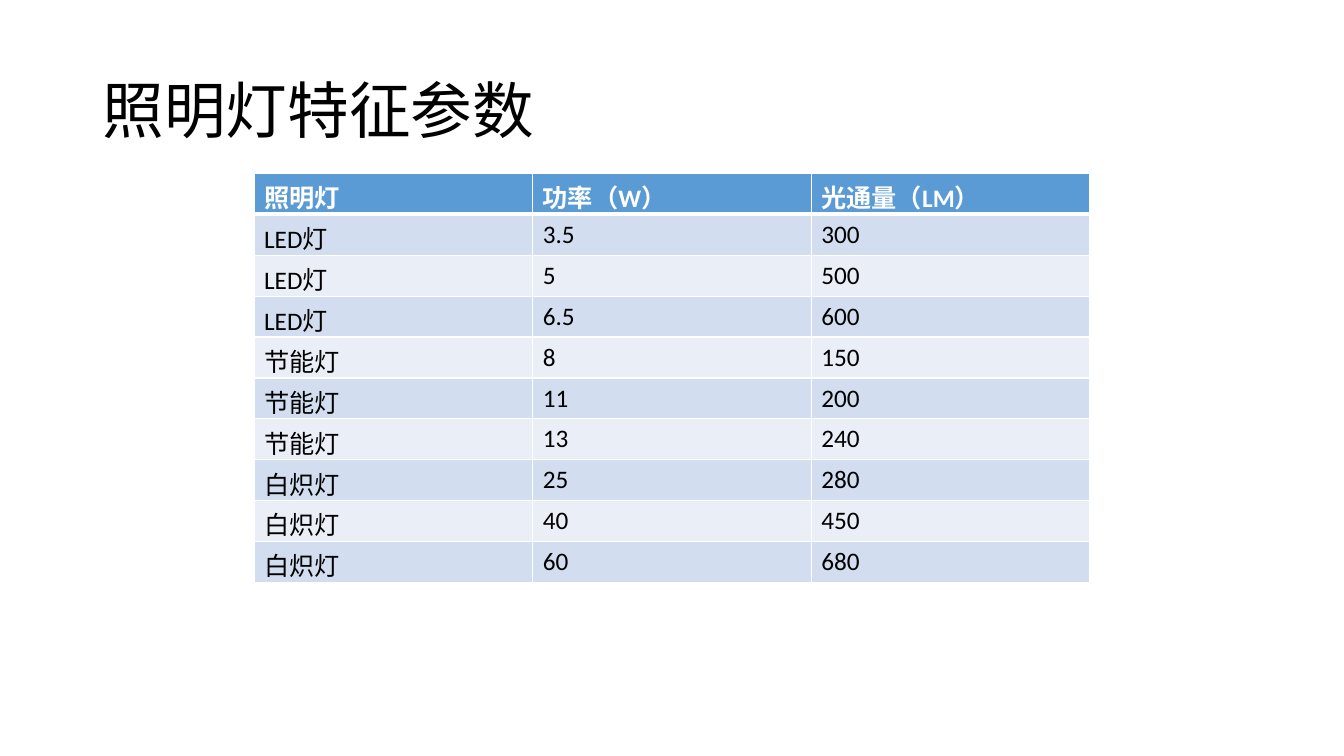
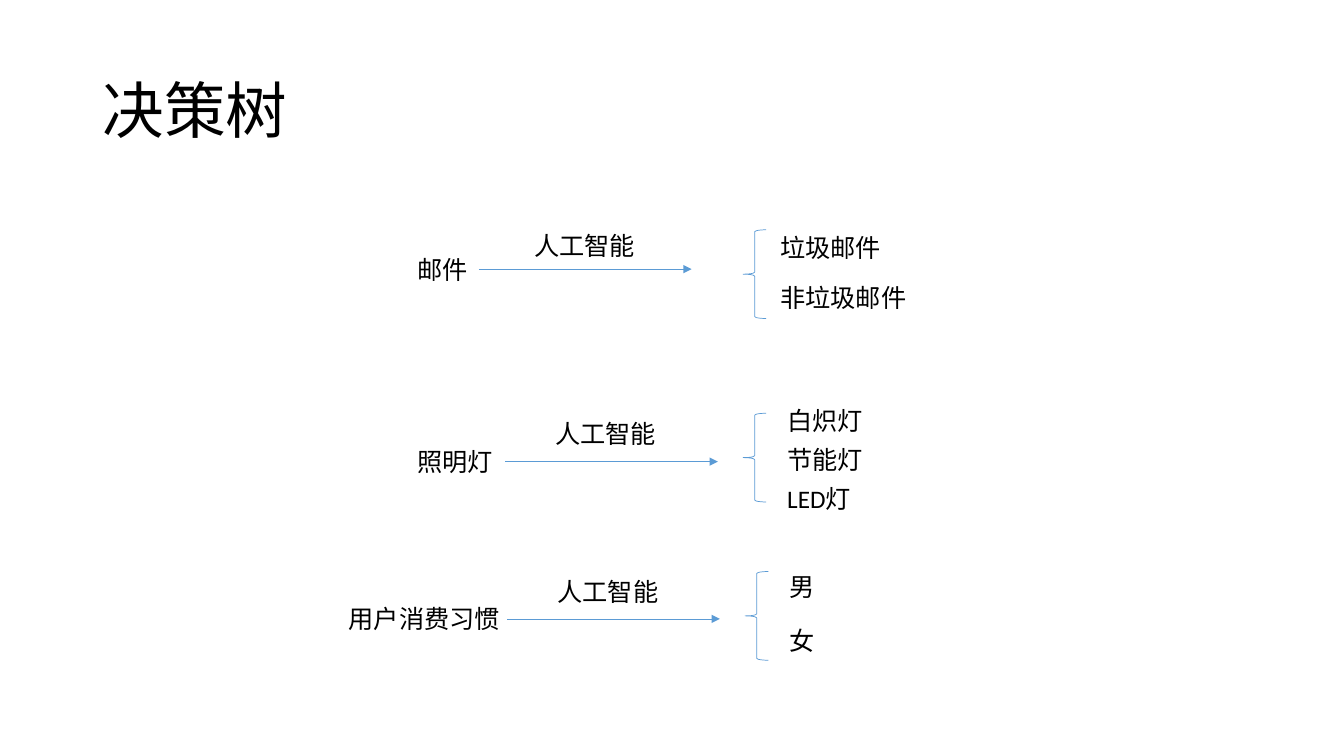
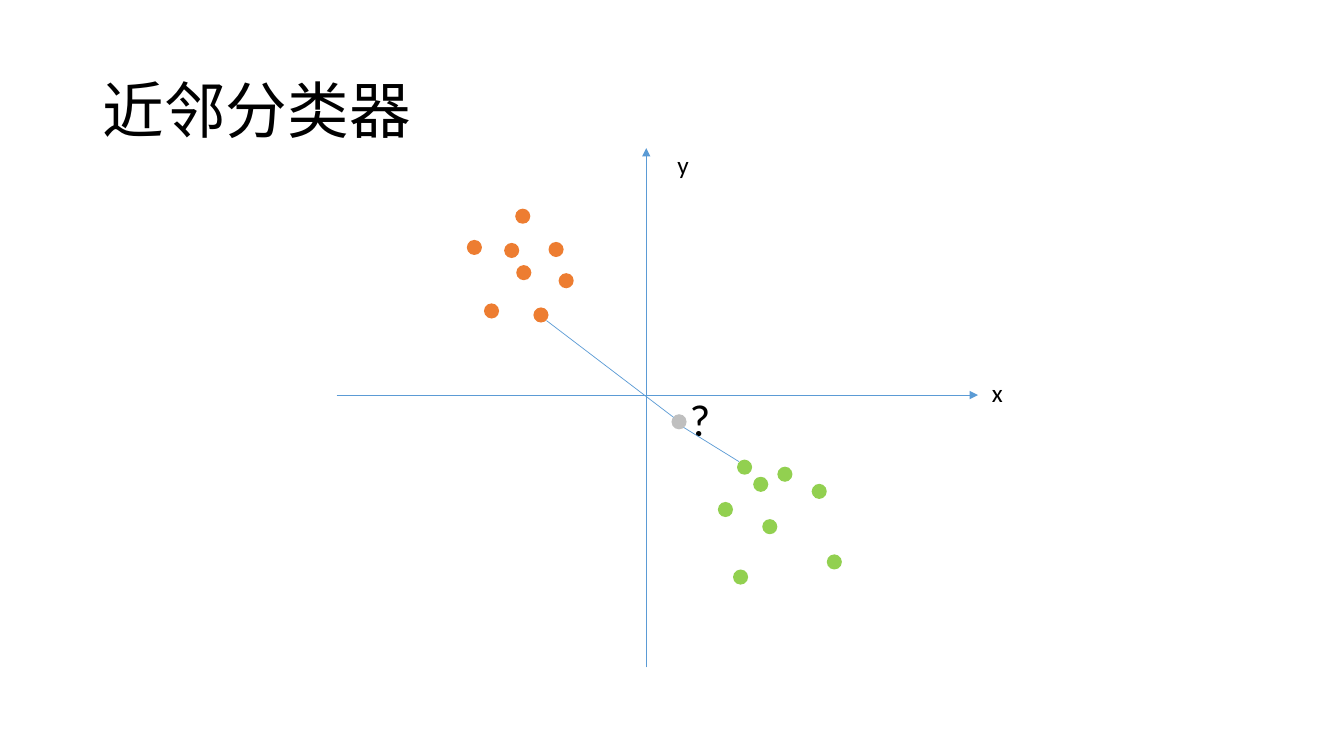
from lxml import etree
from pptx import Presentation
from pptx.dml.color import RGBColor
from pptx.enum.shapes import MSO_CONNECTOR, MSO_SHAPE
from pptx.enum.text import MSO_ANCHOR
from pptx.oxml.ns import qn
from pptx.util import Pt

PX = 9144  # 100 px to the inch
STRAIGHT = MSO_CONNECTOR.STRAIGHT
BRACE = MSO_SHAPE.LEFT_BRACE
OVAL = MSO_SHAPE.OVAL
MIDDLE = MSO_ANCHOR.MIDDLE
FONT = "Calibri"
HEX = {
    "black": "000000", "white": "FFFFFF", "blue": "5B9BD5",
    "band": "D2DEEF", "pale": "EAEFF7",
    "orange": "ED7D31", "green": "92D050", "grey": "BFBFBF",
}
RGB = {name: RGBColor.from_string(code) for name, code in HEX.items()}


def label(slide, text, left, top, width=None, height=40, size=18):
    """Add a text box, by default as wide as its Chinese characters need."""
    width = width or 25 * len(text) + 21
    box = slide.shapes.add_textbox(left * PX, top * PX, width * PX, height * PX)
    frame = box.text_frame
    frame.word_wrap = True
    frame.text = text
    font = frame.paragraphs[0].runs[0].font
    for key, value in {"name": FONT, "size": Pt(size)}.items():
        setattr(font, key, value)
    font.color.rgb = RGB["black"]
    return frame


def link(slide, x1, y1, x2, y2, arrow=True):
    """Draw a thin blue line, with an arrowhead at its end if asked."""
    line = slide.shapes.add_connector(STRAIGHT, x1 * PX, y1 * PX, x2 * PX, y2 * PX)
    line.line.color.rgb = RGB["blue"]
    line.line.width = Pt(0.5)
    props = line.element.spPr
    if arrow:
        etree.SubElement(props.find(qn("a:ln")), qn("a:tailEnd"), type="triangle")
    etree.SubElement(props, qn("a:effectLst"))


deck = Presentation()
deck.slide_width, deck.slide_height = 1333 * PX, 750 * PX

slides = []
for title in ("照明灯特征参数", "决策树", "近邻分类器"):
    slide = deck.slides.add_slide(deck.slide_layouts[6])
    frame = label(slide, title, 92, 40, 1150, 145, 44)
    frame.vertical_anchor = MIDDLE
    frame.paragraphs[0].line_spacing = 0.9
    slides.append(slide)
lamps, tree, near = slides

# Lamp table
DATA = [
    ("照明灯", "功率（W）", "光通量（LM）"),
    ("LED灯", "3.5", "300"),
    ("LED灯", "5", "500"),
    ("LED灯", "6.5", "600"),
    ("节能灯", "8", "150"),
    ("节能灯", "11", "200"),
    ("节能灯", "13", "240"),
    ("白炽灯", "25", "280"),
    ("白炽灯", "40", "450"),
    ("白炽灯", "60", "680"),
]
grid = lamps.shapes.add_table(len(DATA), 3, 252 * PX, 172 * PX, 829 * PX, 406 * PX).table
for r, row in enumerate(DATA):
    head = r == 0
    fill = "blue" if head else "band" if r % 2 else "pale"
    edges = {"L": 1, "R": 1, "T": 3 if r == 1 else 1, "B": 3 if head else 1}
    for c, text in enumerate(row):
        cell = grid.cell(r, c)
        cell.text = text
        font = cell.text_frame.paragraphs[0].runs[0].font
        for key, value in {"name": FONT, "size": Pt(18), "bold": head}.items():
            setattr(font, key, value)
        font.color.rgb = RGB["white" if head else "black"]
        props = cell._tc.get_or_add_tcPr()
        for side, width in edges.items():
            edge = etree.SubElement(props, qn("a:ln" + side), w=str(Pt(width)))
            paint = etree.SubElement(edge, qn("a:solidFill"))
            etree.SubElement(paint, qn("a:srgbClr"), val=HEX["white"])
        cell.fill.solid()
        cell.fill.fore_color.rgb = RGB[fill]

# Decision tree: source, its left, arrow start and height, method label place,
# brace place, then the left, top and step of the outcomes
FLOWS = [
    ("邮件", 404, (475, 267), (520, 224), (737, 228),
     (764, 226, 49), ("垃圾邮件", "非垃圾邮件")),
    ("照明灯", 404, (501, 458), (541, 410), (737, 410),
     (771, 397, 39), ("白炽灯", "节能灯", "LED灯")),
    ("用户消费习惯", 336, (503, 614), (543, 567), (739, 567),
     (773, 562, 53), ("男", "女")),
]
for source, left, (x, y), method, (bx, by), (ox, oy, step), ends in FLOWS:
    label(tree, source, left, y - 20)
    link(tree, x, y, x + 211, y)
    label(tree, "人工智能", *method)
    brace = tree.shapes.add_shape(BRACE, bx * PX, by * PX, 23 * PX, 88 * PX)
    brace.shadow.inherit = False
    brace.fill.background()
    brace.line.color.rgb = RGB["blue"]
    brace.line.width = Pt(0.5)
    for i, end in enumerate(ends):
        label(tree, end, ox, oy + i * step, 84 if end == "LED灯" else None)

# Nearest neighbour plot
link(near, 334, 392, 970, 392)
link(near, 641, 662, 641, 147)
DOTS = {
    "orange": [(511, 207), (512, 263), (544, 240), (500, 241),
               (463, 238), (480, 301), (554, 271), (529, 305)],
    "green": [(731, 456), (747, 473), (712, 498), (771, 463),
              (756, 515), (805, 480), (727, 565), (820, 550)],
    "grey": [(666, 411)],
}
for hue, spots in DOTS.items():
    for x, y in spots:
        dot = near.shapes.add_shape(OVAL, x * PX, y * PX, 15 * PX, 15 * PX)
        dot.shadow.inherit = False
        dot.fill.solid()
        dot.fill.fore_color.rgb = RGB[hue]
        dot.line.fill.background()
label(near, "?", 674, 384, 41, 64, 32)
label(near, "x", 974, 369, 31)
label(near, "y", 662, 143, 32)
link(near, 668, 414, 542, 318, arrow=False)
link(near, 678, 424, 733, 458, arrow=False)

deck.save("out.pptx")
